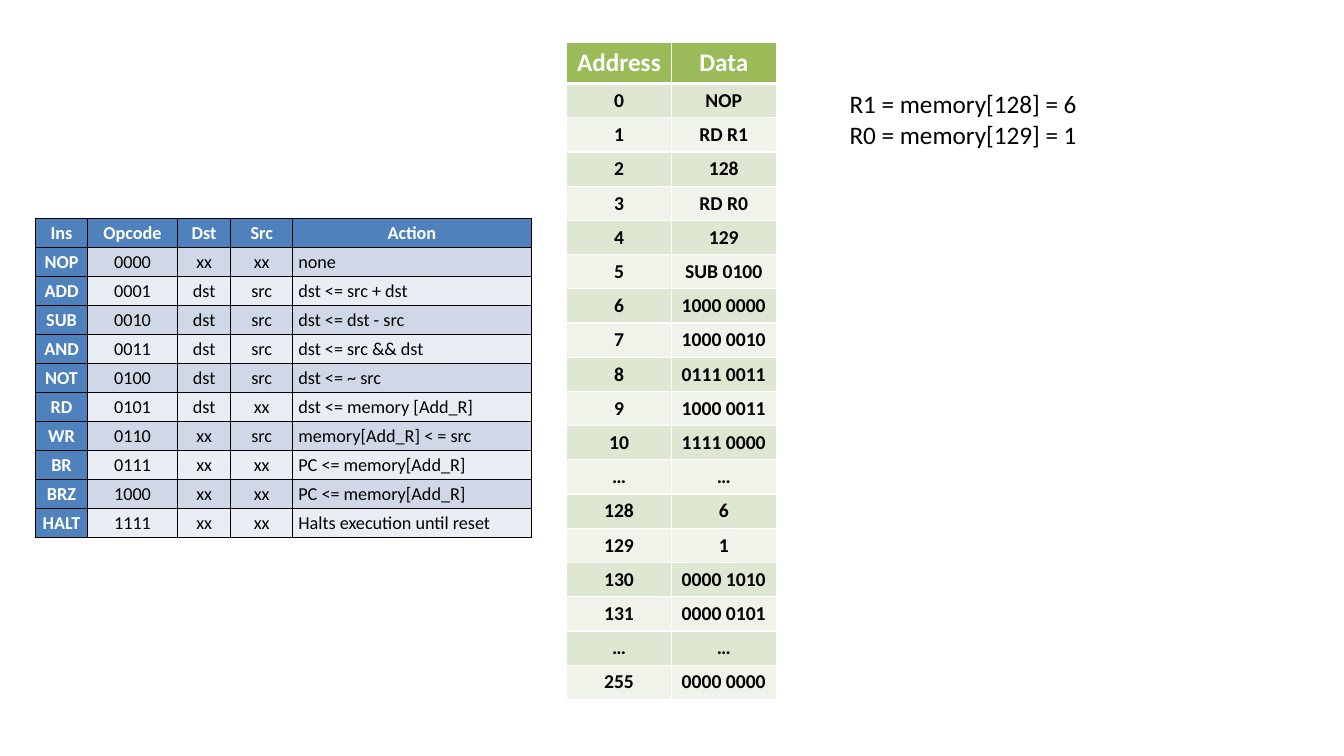
"""Build a slide with an instruction set, a memory listing and register values."""

import dataclasses

import pptx
import pptx.dml.color
import pptx.enum.text
import pptx.oxml
import pptx.oxml.ns
import pptx.slide
import pptx.table
import pptx.util

Cm = pptx.util.Cm
Pt = pptx.util.Pt
RGBColor = pptx.dml.color.RGBColor
PP_ALIGN = pptx.enum.text.PP_ALIGN
MSO_ANCHOR = pptx.enum.text.MSO_ANCHOR


@dataclasses.dataclass(frozen=True)
class Theme:
    font: str = "Calibri"
    white: str = "FFFFFF"
    black: str = "000000"
    green: str = "9BBB59"
    green_bands: tuple[str, str] = ("DEE7D1", "EFF3EA")
    blue: str = "4F81BD"
    blue_bands: tuple[str, str] = ("D0D8E8", "E9EDF4")
    large: int = 18
    memory: int = 14
    instruction: int = 13
    border: int = 1
    heavy_border: int = 3


THEME = Theme()


@dataclasses.dataclass(frozen=True)
class Grid:
    rows: list[tuple[str, ...]]
    left: float
    top: float
    height: float
    column_widths: tuple[float, ...]
    row_height: float
    accent: str
    bands: tuple[str, str]
    border_color: str
    header_rule: int
    header_size: int
    body_size: int
    body_bold: bool
    header_column: bool
    left_columns: tuple[int, ...]
    anchor: MSO_ANCHOR
    margins: tuple[float, float]


INSTRUCTIONS = [
    ("Ins", "Opcode", "Dst", "Src", "Action"),
    ("NOP", "0000", "xx", "xx", "none"),
    ("ADD", "0001", "dst", "src", "dst <= src + dst"),
    ("SUB", "0010", "dst", "src", "dst <= dst - src"),
    ("AND", "0011", "dst", "src", "dst <= src && dst"),
    ("NOT", "0100", "dst", "src", "dst <= ~ src"),
    ("RD", "0101", "dst", "xx", "dst <= memory [Add_R]"),
    ("WR", "0110", "xx", "src", "memory[Add_R] < = src"),
    ("BR", "0111", "xx", "xx", "PC <= memory[Add_R]"),
    ("BRZ", "1000", "xx", "xx", "PC <= memory[Add_R]"),
    ("HALT", "1111", "xx", "xx", "Halts execution until reset"),
]

MEMORY = [
    ("Address", "Data"),
    ("0", "NOP"),
    ("1", "RD R1"),
    ("2", "128"),
    ("3", "RD R0"),
    ("4", "129"),
    ("5", "SUB 0100"),
    ("6", "1000 0000"),
    ("7", "1000 0010"),
    ("8", "0111 0011"),
    ("9", "1000 0011"),
    ("10", "1111 0000"),
    ("…", "…"),
    ("128", "6"),
    ("129", "1"),
    ("130", "0000 1010"),
    ("131", "0000 0101"),
    ("…", "…"),
    ("255", "0000 0000"),
]

GRIDS = [
    Grid(
        rows=MEMORY, left=14.28, top=1.07, height=16.26,
        column_widths=(2.64, 2.64), row_height=0.66,
        accent=THEME.green, bands=THEME.green_bands,
        border_color=THEME.white, header_rule=THEME.heavy_border,
        header_size=THEME.large, body_size=THEME.memory, body_bold=True,
        header_column=False, left_columns=(),
        anchor=MSO_ANCHOR.TOP, margins=(0.25, 0.13),
    ),
    Grid(
        rows=INSTRUCTIONS, left=0.89, top=5.51, height=8.03,
        column_widths=(1.32, 2.26, 1.35, 1.55, 6.02), row_height=0.73,
        accent=THEME.blue, bands=THEME.blue_bands,
        border_color=THEME.black, header_rule=THEME.border,
        header_size=THEME.instruction, body_size=THEME.instruction, body_bold=False,
        header_column=True, left_columns=(4,),
        anchor=MSO_ANCHOR.MIDDLE, margins=(0.15, 0),
    ),
]

REGISTER_VALUES = "R1 = memory[128] = 6\nR0 = memory[129] = 1"


def style_paragraph(
    paragraph, size: int, color: str, bold: bool, align: PP_ALIGN
) -> None:
    paragraph.alignment = align
    for run in paragraph.runs:
        run.font.name = THEME.font
        run.font.size = Pt(size)
        run.font.bold = bold
        run.font.color.rgb = RGBColor.from_string(color)


def add_border(cell: pptx.table._Cell, side: str, color: str, width: int) -> None:
    properties = cell._tc.get_or_add_tcPr()
    properties.append(pptx.oxml.parse_xml(
        f'<a:ln{side} {pptx.oxml.ns.nsdecls("a")} w="{Pt(width)}">'
        f'<a:solidFill><a:srgbClr val="{color}"/></a:solidFill></a:ln{side}>'
    ))


def fill_cell(cell: pptx.table._Cell, grid: Grid, row: int, column: int) -> None:
    in_header = row == 0
    accented = in_header or (grid.header_column and column == 0)
    cell.text_frame.text = grid.rows[row][column]
    left_aligned = not in_header and column in grid.left_columns
    style_paragraph(
        cell.text_frame.paragraphs[0],
        grid.header_size if in_header else grid.body_size,
        THEME.white if accented else THEME.black,
        accented or grid.body_bold,
        PP_ALIGN.LEFT if left_aligned else PP_ALIGN.CENTER,
    )
    cell.vertical_anchor = grid.anchor
    side_margin, end_margin = grid.margins
    cell.margin_left = cell.margin_right = Cm(side_margin)
    cell.margin_top = cell.margin_bottom = Cm(end_margin)
    for side in "LRTB":
        on_rule = (row, side) in ((0, "B"), (1, "T"))
        width = grid.header_rule if on_rule else THEME.border
        add_border(cell, side, grid.border_color, width)
    cell.fill.solid()
    color = grid.accent if accented else grid.bands[(row - 1) % 2]
    cell.fill.fore_color.rgb = RGBColor.from_string(color)


def add_grid(slide: pptx.slide.Slide, grid: Grid) -> None:
    frame = slide.shapes.add_table(
        len(grid.rows), len(grid.column_widths), Cm(grid.left), Cm(grid.top),
        Cm(sum(grid.column_widths)), Cm(grid.height),
    )
    table = frame.table
    table.horz_banding = False
    for column, width in zip(table.columns, grid.column_widths):
        column.width = Cm(width)
    for row_index, row in enumerate(table.rows):
        row.height = Cm(grid.row_height)
        for column_index, cell in enumerate(row.cells):
            fill_cell(cell, grid, row_index, column_index)
    frame.height = Cm(grid.height)


def add_register_values(slide: pptx.slide.Slide) -> None:
    registers = slide.shapes.add_textbox(Cm(21.16), Cm(2.11), Cm(8.46), Cm(1.8))
    registers.text_frame.word_wrap = True
    registers.text_frame.auto_size = pptx.enum.text.MSO_AUTO_SIZE.SHAPE_TO_FIT_TEXT
    registers.text_frame.text = REGISTER_VALUES
    for paragraph in registers.text_frame.paragraphs:
        style_paragraph(paragraph, THEME.large, THEME.black, False, PP_ALIGN.LEFT)


def main() -> None:
    presentation = pptx.Presentation()
    presentation.slide_width = Cm(33.87)
    presentation.slide_height = Cm(19.05)
    slide = presentation.slides.add_slide(presentation.slide_layouts[6])
    for grid in GRIDS:
        add_grid(slide, grid)
    add_register_values(slide)
    presentation.save("out.pptx")


if __name__ == "__main__":
    main()
